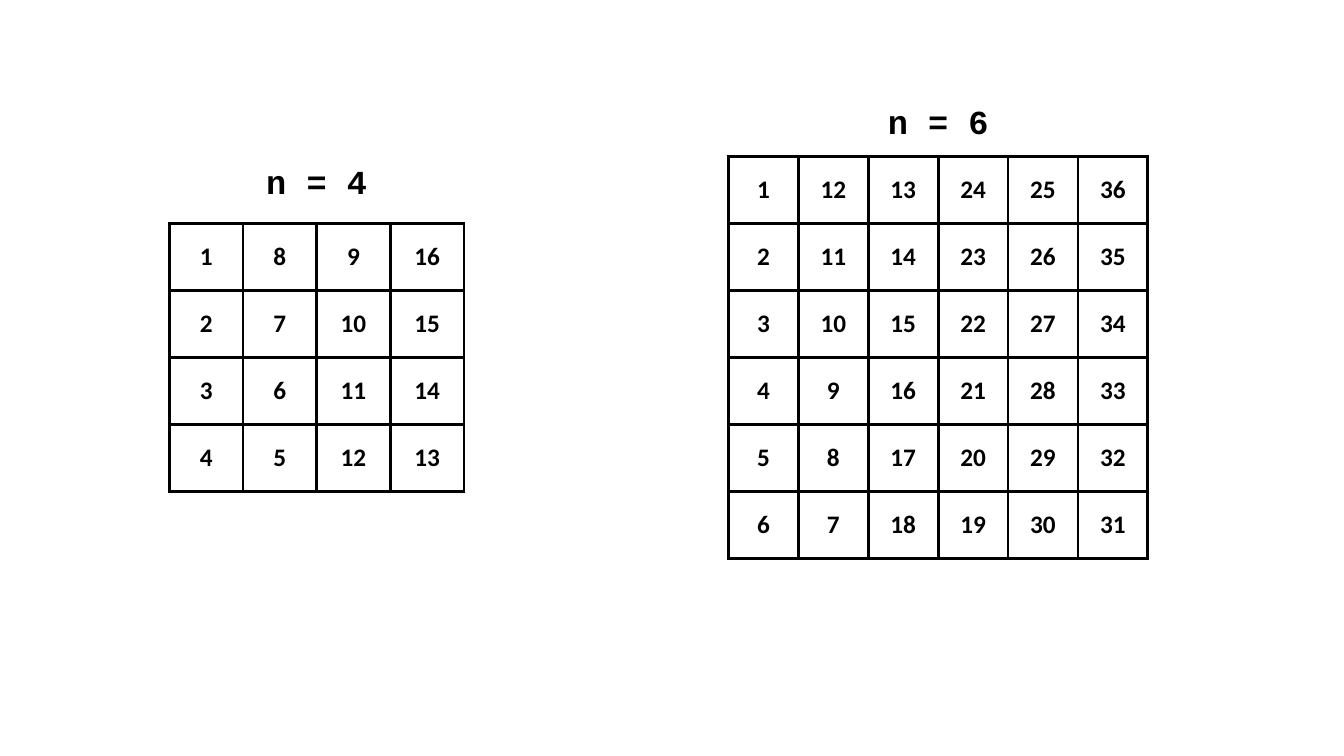
from lxml import etree
from pptx import Presentation
from pptx import util as u
from pptx.dml.color import RGBColor
from pptx.enum import text
from pptx.oxml import ns

BLACK, WHITE = "000000", "FFFFFF"


def paint(target, code):
    """Give a fill or a font a solid colour."""
    if hasattr(target, "solid"):
        target.solid()
        target.fore_color.rgb = RGBColor.from_string(code)
    else:
        target.color.rgb = RGBColor.from_string(code)


class Board:
    label = {"name": "Courier New", "size": u.Pt(24), "bold": True}
    digit = {"name": "Calibri", "size": u.Pt(18), "bold": True}
    line = u.Pt(2.25)

    def __init__(self, slide):
        self.slide = slide

    def letter(self, frame, words, style):
        para = frame.paragraphs[0]
        para.alignment = text.PP_ALIGN.CENTER
        run = para.add_run()
        run.text = words
        for key, value in style.items():
            setattr(run.font, key, value)
        paint(run.font, BLACK)

    def border(self, cell):
        props = cell._tc.get_or_add_tcPr()
        for spot, side in enumerate("LRTB"):
            edge = etree.Element(ns.qn(f"a:ln{side}"), w=str(self.line))
            fill = etree.SubElement(edge, ns.qn("a:solidFill"))
            etree.SubElement(fill, ns.qn("a:srgbClr"), val=BLACK)
            props.insert(spot, edge)

    def title(self, words, middle, top):
        width = 5.66
        box = self.slide.shapes.add_textbox(
            u.Cm(middle - width / 2), u.Cm(top), u.Cm(width), u.Cm(1.27))
        frame = box.text_frame
        frame.word_wrap = True
        frame.auto_size = text.MSO_AUTO_SIZE.SHAPE_TO_FIT_TEXT
        self.letter(frame, words, self.label)

    def grid(self, n, left, top, width):
        """Number the cells down one column and up the next."""
        height = 1.69 * n
        table = self.slide.shapes.add_table(
            n, n, u.Cm(left), u.Cm(top), u.Cm(width), u.Cm(height)).table
        table.first_row = table.horz_banding = False
        for row in range(n):
            for col in range(n):
                cell = table.cell(row, col)
                step = n - row if col % 2 else row + 1
                cell.vertical_anchor = text.MSO_ANCHOR.MIDDLE
                self.letter(cell.text_frame, str(col * n + step), self.digit)
                paint(cell.fill, WHITE)
                self.border(cell)


def main():
    deck = Presentation()
    deck.slide_width, deck.slide_height = u.Cm(33.87), u.Cm(19.05)
    board = Board(deck.slides.add_slide(deck.slide_layouts[6]))

    # Each grid with its label centred above it
    for n, left, top, width, head in (
            (4, 4.27, 5.63, 7.42, 3.94),
            (6, 18.36, 3.94, 10.57, 2.41)):
        board.grid(n, left, top, width)
        board.title(f"n = {n}", left + width / 2, head)

    deck.save("out.pptx")


if __name__ == "__main__":
    main()
